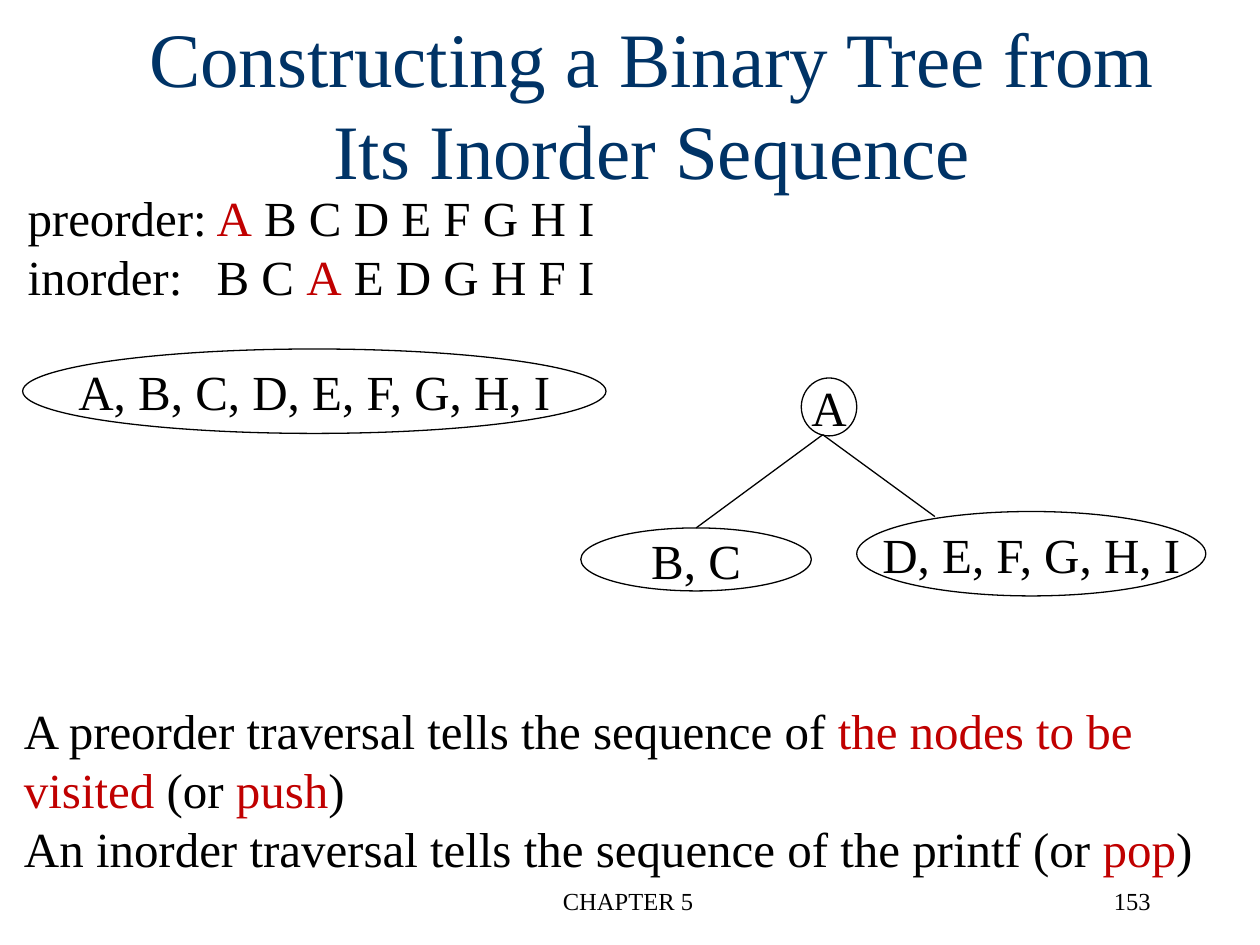
from pptx import Presentation
from pptx.dml.color import RGBColor
from pptx.enum.shapes import MSO_CONNECTOR as Line, MSO_SHAPE as Shape
from pptx.enum.text import MSO_ANCHOR as Anchor, MSO_AUTO_SIZE as Fit, PP_ALIGN as Align
from pptx.oxml.ns import qn
from pptx.util import Inches, Pt

BLACK, RED, NAVY = "000000", "C00000", "003366"


def paint(hue):
    """Turn a hex string into a colour."""
    return RGBColor.from_string(hue)


def style(font, size, hue=BLACK):
    """Set the face, size and colour of a font."""
    font.name, font.size = "Times New Roman", Pt(size)
    font.color.rgb = paint(hue)


def place(shape, box):
    """Move and size a shape in inches."""
    shape.left, shape.top, shape.width, shape.height = map(Inches, box)


def fill_title(shape, box, text):
    """Place and format the title."""
    place(shape, box)
    frame = shape.text_frame
    frame.text = text
    frame.word_wrap, frame.auto_size = True, Fit.NONE
    frame.vertical_anchor = Anchor.TOP
    para = frame.paragraphs[0]
    para.alignment = Align.CENTER
    style(para.runs[0].font, 44, NAVY)


def write_rows(frame, rows):
    """Write paragraphs whose runs alternate between black and red."""
    for num, row in enumerate(rows):
        para = frame.paragraphs[0] if num == 0 else frame.add_paragraph()
        props = para._p.get_or_add_pPr()
        props.set("marL", "0")
        props.set("indent", "0")
        para.space_before = Pt(0)
        props.append(props.makeelement(qn("a:buNone"), {}))
        for pos, text in enumerate(row):
            run = para.add_run()
            run.text = text
            style(run.font, 28, RED if pos % 2 else BLACK)


def add_label(shapes, box, text, align):
    """Add a small footer text."""
    shape = shapes.add_textbox(*map(Inches, box))
    frame = shape.text_frame
    frame.text, frame.word_wrap = text, True
    para = frame.paragraphs[0]
    para.alignment = align
    style(para.runs[0].font, 14)


def add_node(shapes, box, text):
    """Add an outlined ellipse that holds tree keys."""
    node = shapes.add_shape(Shape.OVAL, *map(Inches, box))
    node.shadow.inherit = False
    node.fill.background()
    node.line.color.rgb, node.line.width = paint(BLACK), Pt(0.75)
    frame = node.text_frame
    frame.text, frame.word_wrap = text, False
    frame.vertical_anchor = Anchor.MIDDLE
    frame.margin_left = frame.margin_right = 0
    frame.margin_top = frame.margin_bottom = 0
    para = frame.paragraphs[0]
    para.alignment = Align.CENTER
    style(para.runs[0].font, 28)
    return node


def add_edge(shapes, start, end):
    """Add a straight tree edge."""
    edge = shapes.add_connector(Line.STRAIGHT, *map(Inches, start + end))
    edge.line.color.rgb, edge.line.width = paint(BLACK), Pt(0.75)
    props = edge._element.spPr
    props.append(props.makeelement(qn("a:effectLst"), {}))
    return edge


def add_tree(shapes):
    """Add the root with its left and right key sets."""
    add_node(shapes, (6.36, 3, 0.44, 0.46), "A")
    left = add_node(shapes, (4.61, 4.19, 1.83, 0.5), "B, C")
    add_node(shapes, (6.8, 4.06, 2.77, 0.67), "D, E, F, G, H, I")
    edge = add_edge(shapes, (6.53, 3.45), (5.53, 4.19))
    edge.end_connect(left, 0)
    add_edge(shapes, (6.53, 3.45), (7.42, 4.1))


def main():
    """Build the slide."""
    deck = Presentation()
    deck.slide_width, deck.slide_height = Inches(10), Inches(7.5)
    slide = deck.slides.add_slide(deck.slide_layouts[1])
    shapes = slide.shapes
    fill_title(shapes.title, (0.73, 0.03, 8.89, 1.25),
               "Constructing a Binary Tree from Its Inorder Sequence")
    body = slide.placeholders[1]
    place(body, (0.09, 5.51, 9.66, 1.51))
    body.text_frame.auto_size = Fit.NONE
    write_rows(body.text_frame, [
        ("A preorder traversal tells the sequence of ",
         "the nodes to be visited ", "(or", " push", ")"),
        ("An inorder traversal tells the sequence of the printf (or ", "pop", ")"),
    ])
    orders = shapes.add_textbox(*map(Inches, (0.12, 1.44, 5.21, 1.03)))
    orders.text_frame.word_wrap = False
    write_rows(orders.text_frame, [
        ("preorder:\t", "A", " B C D E F G H I"),
        ("inorder:\tB C ", "A", " E D G H F I"),
    ])
    add_node(shapes, (0.18, 2.77, 4.63, 0.67), "A, B, C, D, E, F, G, H, I")
    add_tree(shapes.add_group_shape().shapes)
    add_label(shapes, (3.4, 6.98, 3.17, 0.5), "CHAPTER 5", Align.CENTER)
    add_label(shapes, (7.15, 6.98, 2.08, 0.5), "153", Align.RIGHT)
    deck.save("out.pptx")


if __name__ == "__main__":
    main()
